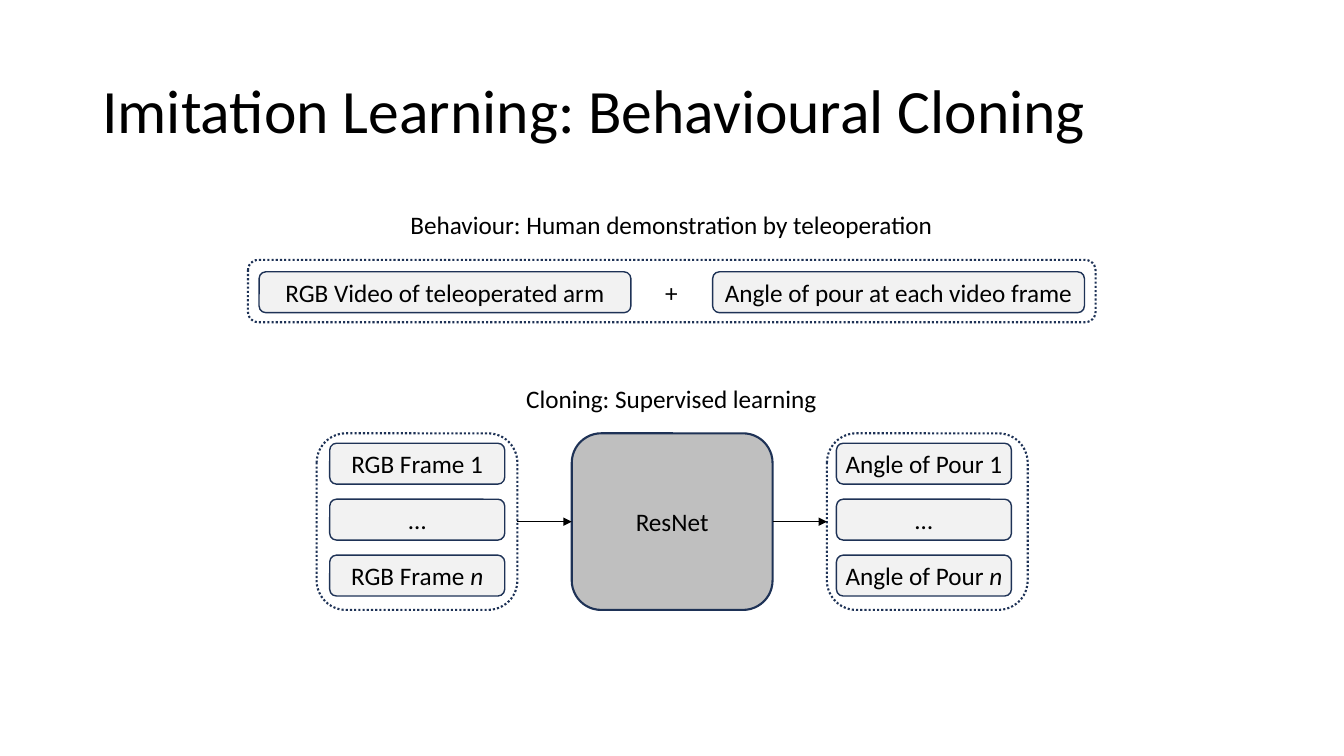
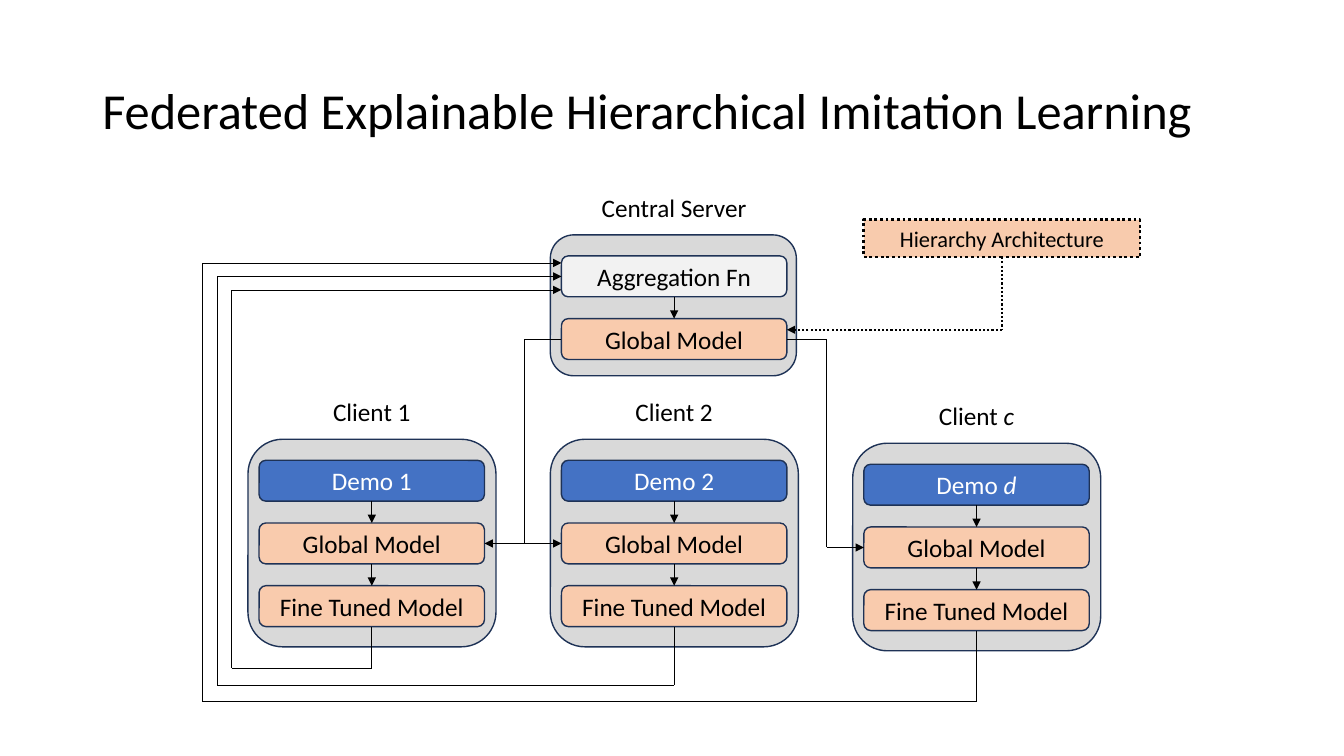
from lxml import etree
from pptx import Presentation
from pptx.dml.color import RGBColor
from pptx.enum.dml import MSO_LINE
from pptx.enum.shapes import MSO_CONNECTOR, MSO_SHAPE
from pptx.enum.text import MSO_ANCHOR, PP_ALIGN
from pptx.oxml.ns import qn
from pptx.util import Cm, Pt

ROUND, RECT = MSO_SHAPE.ROUNDED_RECTANGLE, MSO_SHAPE.RECTANGLE
STRAIGHT = MSO_CONNECTOR.STRAIGHT
DOT = MSO_LINE.ROUND_DOT
MIDDLE = MSO_ANCHOR.MIDDLE
LEFT, CENTER = PP_ALIGN.LEFT, PP_ALIGN.CENTER
TOP, WEST, BOTTOM, EAST = range(4)

# Shared look
FONT = "Calibri"
BLACK, WHITE, NAVY = "000000", "FFFFFF", "1E3256"
PALE, PANEL, GREY = "F2F2F2", "D9D9D9", "BFBFBF"
PEACH, BLUE = "F9CBAD", "4472C4"
ROW = 1.03  # height of a labelled box and of a caption


def color(code):
    return RGBColor.from_string(code)


def write(shape, parts, size=18, ink=BLACK, align=CENTER):
    """Write runs into a shape; every second run is italic."""
    frame = shape.text_frame
    frame.vertical_anchor = MIDDLE
    para = frame.paragraphs[0]
    para.alignment = align
    for i, part in enumerate(parts):
        run = para.add_run()
        run.text = part
        font = run.font
        font.name, font.size = FONT, Pt(size)
        font.color.rgb = color(ink)
        if i % 2:
            font.italic = True


def trim(shape):
    frame = shape.text_frame
    frame.margin_left = frame.margin_right = 0
    frame.margin_top = frame.margin_bottom = 0


def title(slide, text, size):
    box = slide.shapes.add_textbox(Cm(2.33), Cm(1.01), Cm(29.21), Cm(3.68))
    box.text_frame.word_wrap = True
    write(box, [text], size, align=LEFT)
    box.text_frame.paragraphs[0].line_spacing = 0.9


def label(slide, mid, top, *parts):
    """Caption centred on mid."""
    wide = 14
    box = slide.shapes.add_textbox(Cm(mid - wide / 2), Cm(top), Cm(wide), Cm(ROW))
    box.text_frame.word_wrap = True
    trim(box)
    write(box, parts)


def block(slide, x, y, w, h, fill=None, parts=(), ink=BLACK, size=18,
          kind=ROUND, edge=NAVY, weight=1, dash=None):
    shape = slide.shapes.add_shape(kind, Cm(x), Cm(y), Cm(w), Cm(h))
    shape.shadow.inherit = False
    if fill:
        shape.fill.solid()
        shape.fill.fore_color.rgb = color(fill)
    else:
        shape.fill.background()
    shape.line.color.rgb = color(edge)
    shape.line.width = Pt(weight)
    if dash:
        shape.line.dash_style = dash
    if parts:
        shape.text_frame.word_wrap = False
        trim(shape)
        write(shape, parts, size, ink)
    return shape


def spot(shape, side):
    """Middle of a side, in centimetres."""
    x, y = shape.left.cm, shape.top.cm
    w, h = shape.width.cm, shape.height.cm
    return {TOP: (x + w / 2, y), WEST: (x, y + h / 2),
            BOTTOM: (x + w / 2, y + h), EAST: (x + w, y + h / 2)}[side]


def route(slide, stops=(), start=None, end=None, head=True, weight=0.5, dash=None):
    """Straight lines through stops; start and end are (shape, side)."""
    points = list(stops)
    if start:
        points.insert(0, spot(*start))
    if end:
        points.append(spot(*end))
    last = len(points) - 2
    for i, (a, b) in enumerate(zip(points, points[1:])):
        line = slide.shapes.add_connector(STRAIGHT, *map(Cm, a + b))
        line.line.color.rgb = color(BLACK)
        line.line.width = Pt(weight)
        if dash:
            line.line.dash_style = dash
        if start and i == 0:
            line.begin_connect(*start)
        if end and i == last:
            line.end_connect(*end)
        props = line._element.spPr
        if head and i == last:
            etree.SubElement(props.find(qn("a:ln")), qn("a:tailEnd"), type="triangle")
        etree.SubElement(props, qn("a:effectLst"))


def stack(slide, x, y, w, h, name, rows):
    """Named panel with boxes joined by downward arrows."""
    block(slide, x, y, w, h, PANEL)
    wide, step = 5.68, 1.58
    label(slide, x + 0.28 + wide / 2, y - 1.21, *name)
    boxes = [block(slide, x + 0.28, y + 0.53 + i * step, wide, ROW, fill, parts, ink)
             for i, (parts, fill, ink) in enumerate(rows)]
    for a, b in zip(boxes, boxes[1:]):
        route(slide, start=(a, BOTTOM), end=(b, TOP))
    return boxes


def cloning(slide):
    title(slide, "Imitation Learning: Behavioural Cloning", 44)

    # Demonstration data
    mid = 16.92
    label(slide, mid, 5.13, "Behaviour: Human demonstration by teleoperation")
    block(slide, 6.25, 6.55, 21.36, 1.57, weight=1.5, dash=DOT)
    for x, text in ((6.53, "RGB Video of teleoperated arm"),
                    (17.96, "Angle of pour at each video frame")):
        block(slide, x, 6.85, 9.37, ROW, PALE, [text])
    label(slide, mid, 6.86, "+")

    # Training: frames to network to angles
    label(slide, mid, 9.53, "Cloning: Supervised learning")
    left, gap, top, wide, high = 7.98, 6.43, 10.92, 5.06, 4.45
    net = block(slide, left + gap, top, wide, high, GREY, ["ResNet"], weight=1.5)
    ends = []
    for x, inner, word in ((left, 8.31, "RGB Frame "),
                           (left + 2 * gap, 21.08, "Angle of Pour ")):
        ends.append(block(slide, x, top, wide, high, weight=1.5, dash=DOT))
        for i, parts in enumerate(([word + "1"], ["…"], [word, "n"])):
            block(slide, inner, 11.17 + 1.41 * i, 4.41, ROW, PALE, parts)
    route(slide, start=(ends[0], EAST), end=(net, WEST))
    route(slide, start=(net, EAST), end=(ends[1], WEST))


def federated(slide):
    title(slide, "Federated Explainable Hierarchical Imitation Learning", 36)
    model = (["Global Model"], PEACH, BLACK)
    tuned = (["Fine Tuned Model"], PEACH, BLACK)

    # Server and clients
    merge, hub = stack(slide, 13.87, 5.92, 6.2, 3.55, ["Central Server"],
                       [(["Aggregation Fn"], PALE, BLACK), model])
    teams = [(["Client 1"], ["Demo 1"], 11.07), (["Client 2"], ["Demo 2"], 11.07),
             (["Client ", "c"], ["Demo ", "d"], 11.17)]
    nodes = [stack(slide, 6.25 + 7.62 * i, y, 6.25, 5.23, name,
                   [(demo, BLUE, WHITE), model, tuned])
             for i, (name, demo, y) in enumerate(teams)]
    goals = [node[1] for node in nodes]

    # Global model sent to the clients
    level = spot(hub, WEST)[1]
    fork = (13.21, spot(goals[0], EAST)[1])
    route(slide, [(fork[0], level), fork], start=(hub, WEST), head=False)
    route(slide, [fork], end=(goals[0], EAST))
    route(slide, [fork], end=(goals[1], WEST))
    bend = 20.83
    route(slide, [(bend, level), (bend, spot(goals[2], WEST)[1])],
          start=(hub, EAST), end=(goals[2], WEST))

    # Tuned models returned to the server
    edge, mid = spot(merge, WEST)
    for i, node in enumerate(nodes):
        low, far = 16.84 + 0.42 * i, 5.84 - 0.37 * i
        high = mid + 0.34 * (1 - i)
        stops = [(spot(node[2], BOTTOM)[0], low), (far, low), (far, high)]
        if i == 1:
            route(slide, stops, start=(node[2], BOTTOM), end=(merge, WEST))
        else:
            route(slide, stops + [(edge, high)], start=(node[2], BOTTOM))

    # Hierarchy input
    plan = block(slide, 21.77, 5.54, 6.96, 0.94, "F8CBAD", ["Hierarchy Architecture"],
                 size=16, kind=RECT, edge=BLACK, weight=2, dash=DOT)
    turn = 8.31
    route(slide, [(spot(plan, BOTTOM)[0], turn), (spot(hub, EAST)[0], turn)],
          start=(plan, BOTTOM), weight=1.5, dash=DOT)


def main():
    deck = Presentation()
    deck.slide_width, deck.slide_height = Cm(33.87), Cm(19.05)
    for draw in (cloning, federated):
        draw(deck.slides.add_slide(deck.slide_layouts[6]))
    deck.save("out.pptx")


if __name__ == "__main__":
    main()
